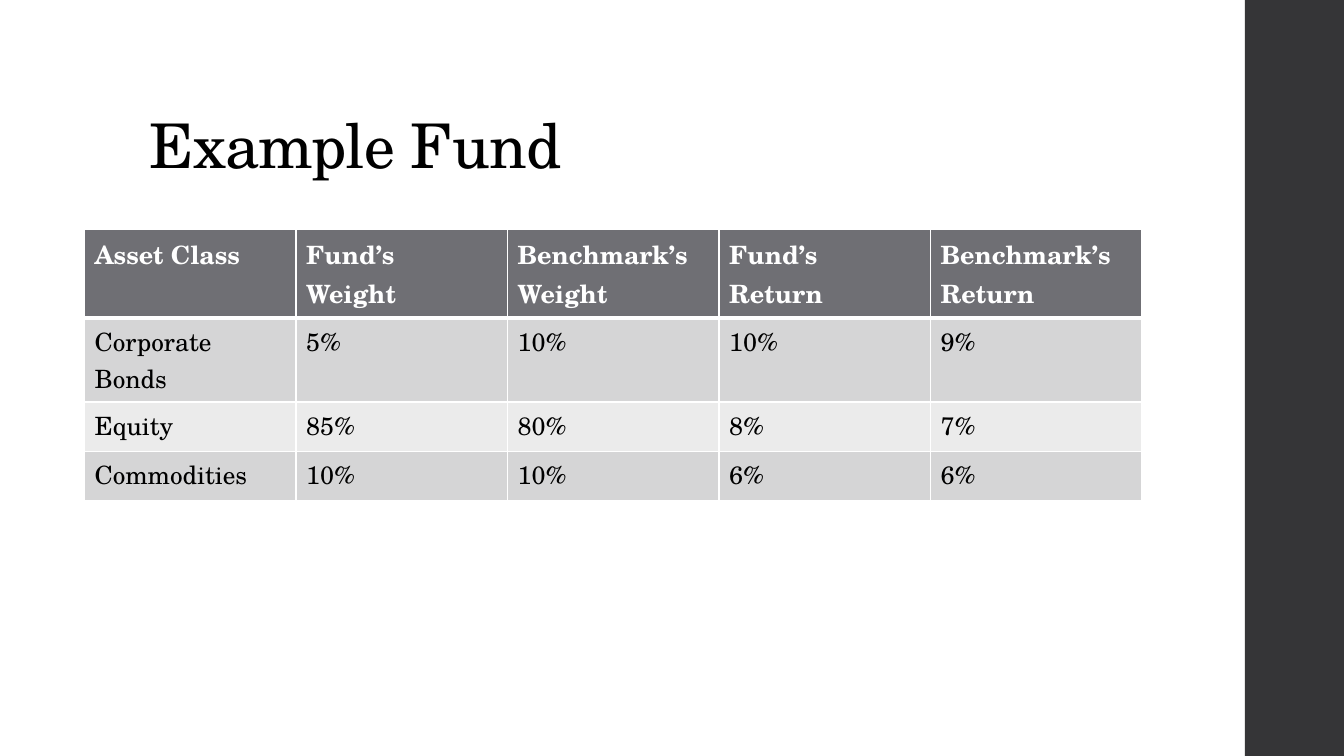
from lxml import etree
from pptx import Presentation
from pptx.dml.color import RGBColor
from pptx.enum.shapes import MSO_SHAPE
from pptx.enum.text import MSO_ANCHOR, MSO_AUTO_SIZE, PP_ALIGN
from pptx.oxml.ns import qn
from pptx.util import Cm, Pt

RECTANGLE = MSO_SHAPE.RECTANGLE
BOTTOM = MSO_ANCHOR.BOTTOM
NO_FIT = MSO_AUTO_SIZE.NONE
LEFT = PP_ALIGN.LEFT

FONT = "TeX Gyre Schola"
BLACK, WHITE = "000000", "FFFFFF"
SIDEBAR_FILL, HEADER_FILL = "353537", "6F6F74"
BAND_FILLS = ("EBEBEB", "D5D5D6")

FUND_ROWS = [
    ["Asset Class", "Fund’s\nWeight", "Benchmark’s Weight",
     "Fund’s\nReturn", "Benchmark’s Return"],
    ["Corporate Bonds", "5%", "10%", "10%", "9%"],
    ["Equity", "85%", "80%", "8%", "7%"],
    ["Commodities", "10%", "10%", "6%", "6%"],
]
COLUMN_WIDTH = Cm(5.33)
HEADER_HEIGHT, BODY_HEIGHT = Cm(1.96), Cm(1.24)


def color(value):
    """Turn a hex string into a colour."""
    return RGBColor.from_string(value)


def format_text(frame, size, text_color, bold=False):
    """Format every run of a text frame."""
    for para in frame.paragraphs:
        para.alignment = LEFT
        for span in para.runs:
            span.font.name = FONT
            span.font.size = Pt(size)
            span.font.bold = bold
            span.font.color.rgb = color(text_color)


def add_sidebar(page, slide_width, slide_height):
    """Draw the dark band along the right edge."""
    left = Cm(31.37)
    band = page.shapes.add_shape(RECTANGLE, left, 0, slide_width - left, slide_height)
    band.shadow.inherit = False
    band.fill.solid()
    band.fill.fore_color.rgb = color(SIDEBAR_FILL)
    band.line.fill.background()


def set_title(page, text):
    """Place and format the title placeholder."""
    title = page.shapes.title
    title.left, title.top = Cm(3.51), Cm(1.02)
    title.width, title.height = Cm(26.92), Cm(3.68)
    frame = title.text_frame
    frame.text = text
    frame.word_wrap = True
    frame.auto_size = NO_FIT
    frame.vertical_anchor = BOTTOM
    format_text(frame, 44, BLACK)
    para = frame.paragraphs[0]
    para.line_spacing = 0.9
    para.runs[0].font._element.set("spc", "-50")


def set_borders(cell, widths):
    """Give a cell white borders with a width in points for each side."""
    properties = cell._tc.get_or_add_tcPr()
    for side, width in widths.items():
        line = etree.SubElement(properties, qn(f"a:ln{side}"), w=str(Pt(width)))
        fill = etree.SubElement(line, qn("a:solidFill"))
        etree.SubElement(fill, qn("a:srgbClr"), val=WHITE)


def fill_cell(cell, text, row_index):
    """Write and style one table cell."""
    is_header = row_index == 0
    cell.text_frame.text = text
    format_text(cell.text_frame, 18, WHITE if is_header else BLACK, is_header)
    set_borders(cell, {"L": 1, "R": 1,
                       "T": 3 if row_index == 1 else 1,
                       "B": 3 if is_header else 1})
    cell.fill.solid()
    cell.fill.fore_color.rgb = color(HEADER_FILL if is_header else BAND_FILLS[row_index % 2])


def add_fund_table(page):
    """Add the table of weights and returns."""
    row_count, column_count = len(FUND_ROWS), len(FUND_ROWS[0])
    height = HEADER_HEIGHT + BODY_HEIGHT * (row_count - 1)
    table = page.shapes.add_table(row_count, column_count, Cm(2.13), Cm(5.79),
                                  COLUMN_WIDTH * column_count, height).table
    for column in table.columns:
        column.width = COLUMN_WIDTH
    for row_index, texts in enumerate(FUND_ROWS):
        table.rows[row_index].height = BODY_HEIGHT if row_index else HEADER_HEIGHT
        for column_index, text in enumerate(texts):
            fill_cell(table.cell(row_index, column_index), text, row_index)


def main():
    """Build the slide and save it."""
    deck = Presentation()
    deck.slide_width, deck.slide_height = Cm(33.87), Cm(19.05)
    page = deck.slides.add_slide(deck.slide_layouts[5])
    add_sidebar(page, deck.slide_width, deck.slide_height)
    set_title(page, "Example Fund")
    add_fund_table(page)
    deck.save("out.pptx")


if __name__ == "__main__":
    main()
